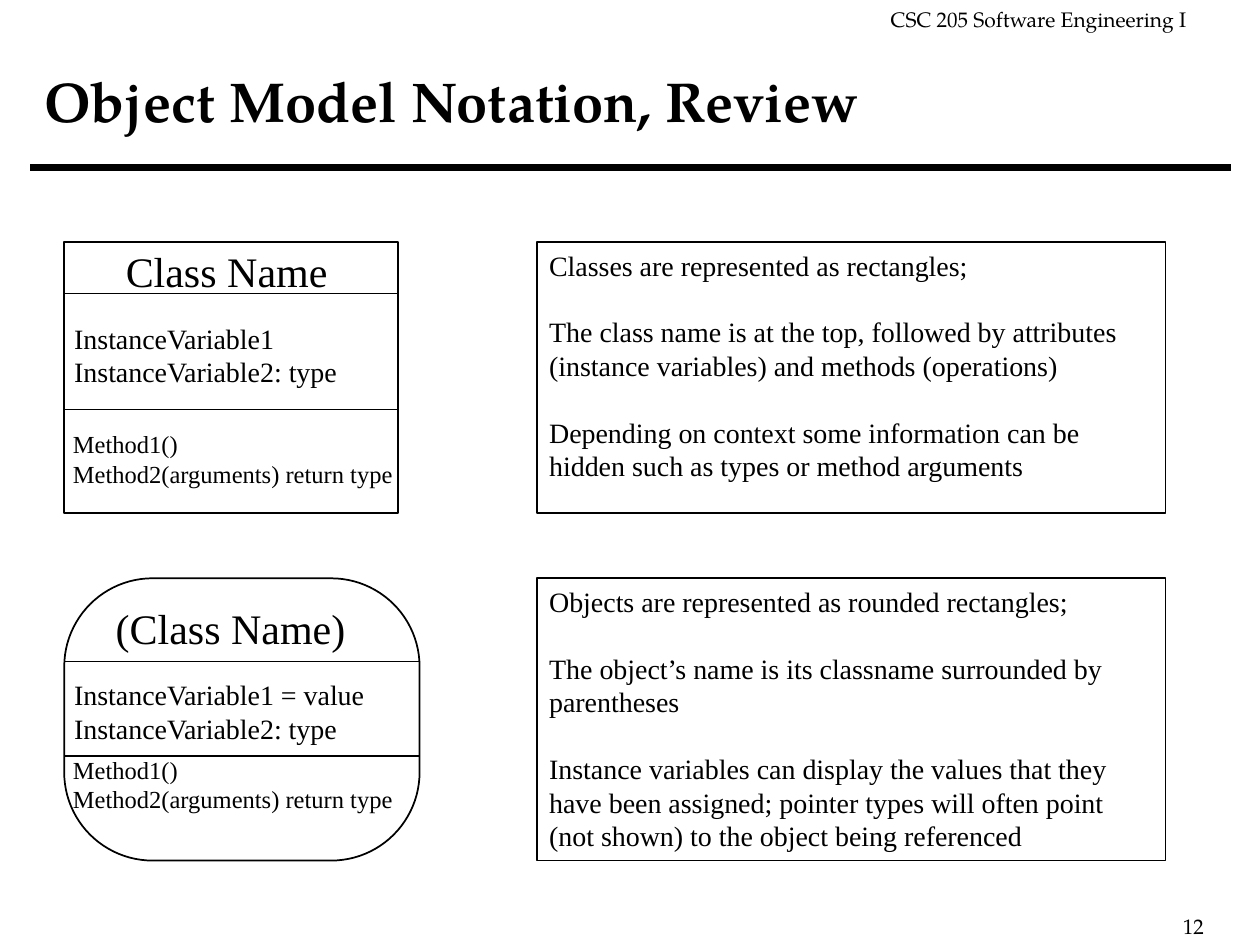
from lxml import etree
from pptx import Presentation
from pptx.dml.color import RGBColor
from pptx.enum.shapes import MSO_CONNECTOR, MSO_SHAPE
from pptx.enum.text import MSO_ANCHOR, MSO_AUTO_SIZE, PP_ALIGN
from pptx.oxml.ns import qn
from pptx.util import Inches, Pt

COLORS = {"ink": "000000", "paper": "FFFFFF"}
HEADING_FONT, BODY_FONT = "TeX Gyre Pagella", "Times New Roman"

TITLE = "Object Model Notation, Review"
COURSE = "CSC 205 Software Engineering I"
PAGE_NUMBER = "12"
METHODS = ["Method1()", "Method2(arguments) return type"]

# Each label: lines, size, (left, top, width, height)
DIAGRAMS = [
    {
        "outline": MSO_SHAPE.RECTANGLE,
        "top": 1.92, "width": 2.65, "height": 2.15,
        "dividers": [2.33, 3.25],
        "labels": [
            (["Class Name"], 24, (0.9, 1.9, 1.8, 0.5)),
            (["InstanceVariable1", "InstanceVariable2: type"], 16, (0.49, 2.5, 2.31, 0.63)),
            (METHODS, 14, (0.48, 3.36, 2.74, 0.56)),
        ],
        "notes": [
            "Classes are represented as rectangles;",
            "The class name is at the top, followed by attributes "
            "(instance variables) and methods (operations)",
            "Depending on context some information can be hidden "
            "such as types or method arguments",
        ],
    },
    {
        "outline": MSO_SHAPE.ROUNDED_RECTANGLE,
        "top": 4.59, "width": 2.82, "height": 2.24,
        "dividers": [5.25, 6],
        "labels": [
            (["(Class Name)"], 24, (0.82, 4.73, 2.02, 0.5)),
            (["InstanceVariable1 = value", "InstanceVariable2: type"], 16, (0.49, 5.33, 2.53, 0.63)),
            (METHODS, 14, (0.48, 5.94, 2.74, 0.56)),
        ],
        "notes": [
            "Objects are represented as rounded rectangles;",
            "The object’s name is its classname surrounded by parentheses",
            "Instance variables can display the values that they have been "
            "assigned; pointer types will often point (not shown) to the "
            "object being referenced",
        ],
    },
]
DIAGRAM_LEFT = 0.51
NOTES_LEFT, NOTES_WIDTH = 4.26, 4.99
CORNER = 0.313


def rgb(name):
    return RGBColor.from_string(COLORS[name])


def write(frame, lines, size, font=BODY_FONT, bold=False, gap=0):
    """Fill a frame with one paragraph per line, gap points apart."""
    frame.text = "\n".join(lines)
    for index, paragraph in enumerate(frame.paragraphs):
        paragraph.alignment = PP_ALIGN.LEFT
        paragraph.space_before = Pt(gap if index else 0)
        for run in paragraph.runs:
            run.font.name = font
            run.font.size = Pt(size)
            run.font.bold = bold
            run.font.color.rgb = rgb("ink")


def add_label(slide, lines, size, box, font=BODY_FONT):
    label = slide.shapes.add_textbox(*map(Inches, box))
    label.text_frame.word_wrap = False
    label.text_frame.auto_size = MSO_AUTO_SIZE.SHAPE_TO_FIT_TEXT
    write(label.text_frame, lines, size, font)
    return label


def add_rule(slide, left, right, y, weight):
    rule = slide.shapes.add_connector(
        MSO_CONNECTOR.STRAIGHT, Inches(left), Inches(y), Inches(right), Inches(y))
    rule.line.color.rgb = rgb("ink")
    rule.line.width = Pt(weight)
    etree.SubElement(rule._element.spPr, qn("a:effectLst"))


def add_outline(slide, kind, *box):
    outline = slide.shapes.add_shape(kind, *map(Inches, box))
    outline.shadow.inherit = False
    outline.fill.background()
    outline.line.color.rgb = rgb("ink")
    outline.line.width = Pt(1)
    return outline


def add_diagram(slide, diagram):
    top, width, height = diagram["top"], diagram["width"], diagram["height"]
    outline = add_outline(slide, diagram["outline"], DIAGRAM_LEFT, top, width, height)
    if diagram["outline"] == MSO_SHAPE.ROUNDED_RECTANGLE:
        outline.adjustments[0] = CORNER
    for y in diagram["dividers"]:
        add_rule(slide, DIAGRAM_LEFT, DIAGRAM_LEFT + width, y, 1)
    for lines, size, box in diagram["labels"]:
        add_label(slide, lines, size, box)

    notes = add_outline(slide, MSO_SHAPE.RECTANGLE, NOTES_LEFT, top, NOTES_WIDTH, height)
    notes.text_frame.word_wrap = True
    notes.text_frame.vertical_anchor = MSO_ANCHOR.TOP
    write(notes.text_frame, diagram["notes"], 16, gap=19)


def main():
    presentation = Presentation()
    presentation.slide_width, presentation.slide_height = Inches(10), Inches(7.5)
    slide = presentation.slides.add_slide(presentation.slide_layouts.get_by_name("Title Only"))

    title = slide.shapes.title
    title.left, title.top, title.width, title.height = map(Inches, (0.25, 0.17, 9.58, 1.25))
    title.text_frame.auto_size = MSO_AUTO_SIZE.NONE
    title.text_frame.vertical_anchor = MSO_ANCHOR.MIDDLE
    write(title.text_frame, [TITLE], 32, HEADING_FONT, bold=True)

    course = add_label(slide, [COURSE], 12, (6.97, 0, 2.55, 0.3), HEADING_FONT)
    course.fill.solid()
    course.fill.fore_color.rgb = rgb("paper")
    add_label(slide, [PAGE_NUMBER], 12, (9.29, 7.2, 0.37, 0.3), HEADING_FONT)
    add_rule(slide, 0.24, 9.77, 1.33, 4)

    for diagram in DIAGRAMS:
        add_diagram(slide, diagram)
    presentation.save("out.pptx")


if __name__ == "__main__":
    main()
